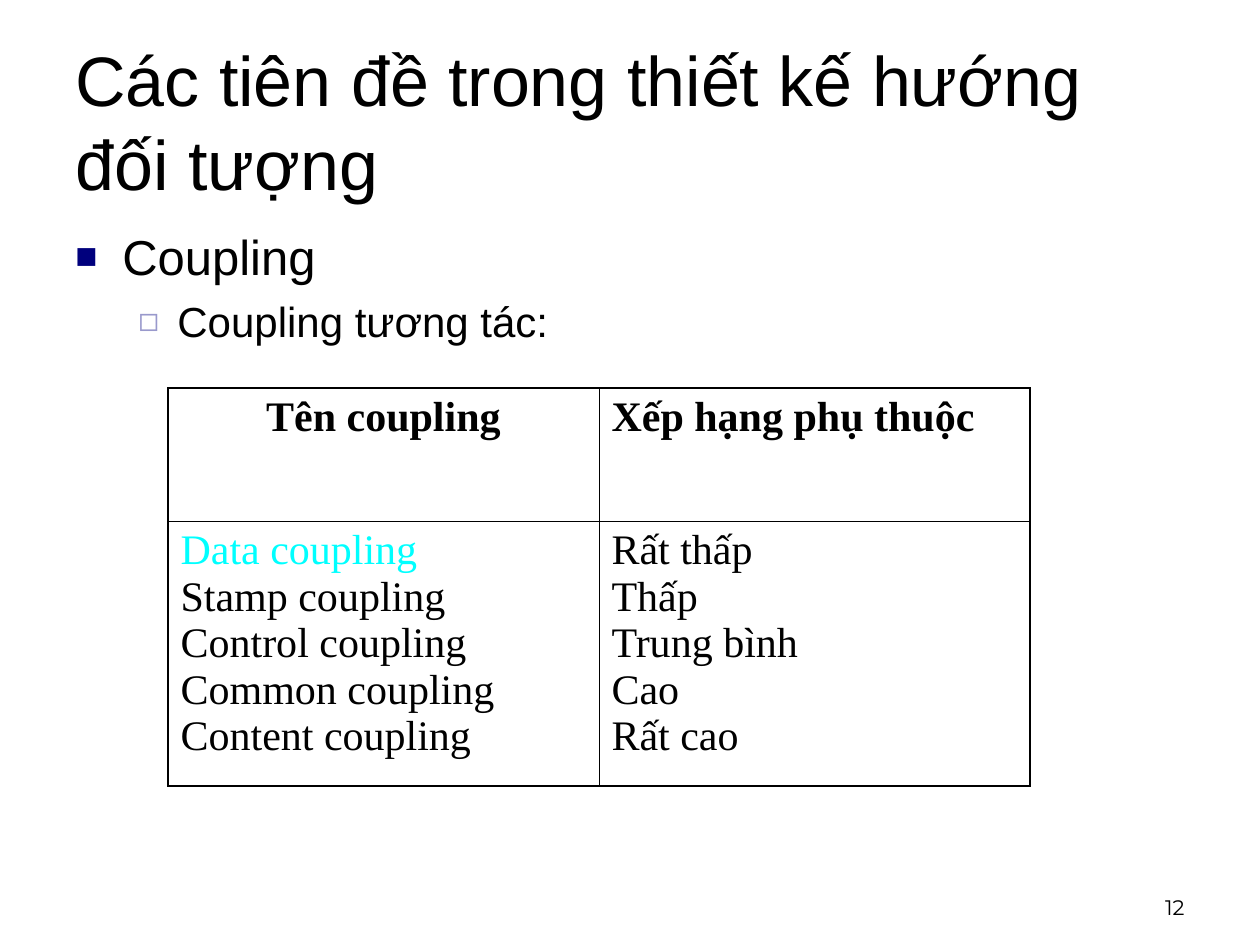
from dataclasses import dataclass

from lxml.etree import SubElement
from pptx import Presentation
from pptx.dml.color import RGBColor
from pptx.enum.text import MSO_ANCHOR, PP_ALIGN
from pptx.oxml.ns import qn
from pptx.util import Emu, Pt

PX_PER_INCH = 126


@dataclass(frozen=True)
class Theme:
    ink: str = "000000"
    highlight: str = "00FFFF"
    sans: str = "Arial"
    serif: str = "Times New Roman"
    number_font: str = "Montserrat"
    title_size: int = 40
    table_size: int = 24
    number_size: int = 12
    outer_line: float = 1.08
    inner_line: float = 0.45


THEME = Theme()

TITLE = "Các tiên đề trong thiết kế hướng đối tượng"
PAGE_NUMBER = "12"
# text, size, space before, left px, hanging px, bullet, bullet colour, bullet %
OUTLINE = [
    ("Coupling", 28, 7, 47, 47, "■", "00007D", 75),
    ("Coupling tương tác:", 24, 6, 102, 39, "◻", "9999CC", 80),
]
HEADERS = [("Tên coupling", PP_ALIGN.CENTER), ("Xếp hạng phụ thuộc", PP_ALIGN.LEFT)]
COUPLINGS = [
    ("Data coupling", "Rất thấp"),
    ("Stamp coupling", "Thấp"),
    ("Control coupling", "Trung bình"),
    ("Common coupling", "Cao"),
    ("Content coupling", "Rất cao"),
]
HIGHLIGHTED = "Data coupling"
TABLE_LEFT, TABLE_TOP = 168, 388
COLUMN_WIDTH = 431
ROW_HEIGHTS = [133, 265]


def px(length):
    return Emu(round(length * 914400 / PX_PER_INCH))


def style(para, font, size, color=THEME.ink, bold=False, align=PP_ALIGN.LEFT):
    para.alignment = align
    para.font.name = font
    para.font.size = Pt(size)
    para.font.bold = bold
    para.font.color.rgb = RGBColor.from_string(color)


def add_text_box(page, left, top, width, height, anchor=MSO_ANCHOR.TOP):
    frame = page.shapes.add_textbox(px(left), px(top), px(width), px(height)).text_frame
    frame.word_wrap = True
    frame.vertical_anchor = anchor
    return frame


def fill_paragraphs(frame, texts):
    """Put one text in each paragraph and return the paragraphs."""
    frame.text = "\n".join(texts)
    return frame.paragraphs


def add_bullet(para, left, hanging, mark, color, percent):
    properties = para._p.get_or_add_pPr()
    properties.set("marL", str(px(left)))
    properties.set("indent", str(-px(hanging)))
    bullet_color = SubElement(properties, qn("a:buClr"))
    SubElement(bullet_color, qn("a:srgbClr"), val=color)
    SubElement(properties, qn("a:buSzPct"), val=str(percent * 1000))
    SubElement(properties, qn("a:buFont"), typeface=THEME.sans)
    SubElement(properties, qn("a:buChar"), char=mark)


def set_borders(cell, outer_sides):
    properties = cell._tc.get_or_add_tcPr()
    for side in "LRTB":
        width = THEME.outer_line if side in outer_sides else THEME.inner_line
        line = SubElement(properties, qn(f"a:ln{side}"), w=str(Pt(width)))
        fill = SubElement(line, qn("a:solidFill"))
        SubElement(fill, qn("a:srgbClr"), val=THEME.ink)


def add_outline(page):
    frame = add_text_box(page, 63, 220, 557, 624)
    paras = fill_paragraphs(frame, [item[0] for item in OUTLINE])
    for para, (_, size, space, *bullet) in zip(paras, OUTLINE):
        style(para, THEME.sans, size)
        para.space_before = Pt(space)
        add_bullet(para, *bullet)


def add_coupling_table(page):
    columns = len(HEADERS)
    table = page.shapes.add_table(
        len(ROW_HEIGHTS), columns, px(TABLE_LEFT), px(TABLE_TOP),
        px(COLUMN_WIDTH * columns), px(sum(ROW_HEIGHTS))).table
    table.first_row = table.horz_banding = False
    for row, height in zip(table.rows, ROW_HEIGHTS):
        row.height = px(height)

    for index, (header, align) in enumerate(HEADERS):
        table.columns[index].width = px(COLUMN_WIDTH)
        outer_side = "L" if index == 0 else "R"
        head, body = table.cell(0, index), table.cell(1, index)
        for cell, edge in ((head, "T"), (body, "B")):
            set_borders(cell, outer_side + edge)
            cell.fill.background()

        for para in fill_paragraphs(head.text_frame, [header]):
            style(para, THEME.serif, THEME.table_size, bold=True, align=align)
        entries = [coupling[index] for coupling in COUPLINGS]
        for para in fill_paragraphs(body.text_frame, entries):
            color = THEME.highlight if para.text == HIGHLIGHTED else THEME.ink
            style(para, THEME.serif, THEME.table_size, color, align=PP_ALIGN.JUSTIFY)


def main():
    deck = Presentation()
    deck.slide_width, deck.slide_height = px(1260), px(945)
    page = deck.slides.add_slide(deck.slide_layouts[6])

    title = add_text_box(page, 63, 42, 1134, 157, MSO_ANCHOR.MIDDLE)
    style(fill_paragraphs(title, [TITLE])[0], THEME.sans, THEME.title_size)
    add_outline(page)
    add_coupling_table(page)
    number = add_text_box(page, 903, 861, 294, 65, MSO_ANCHOR.BOTTOM)
    style(fill_paragraphs(number, [PAGE_NUMBER])[0], THEME.number_font,
          THEME.number_size, align=PP_ALIGN.RIGHT)

    deck.save("out.pptx")


if __name__ == "__main__":
    main()
